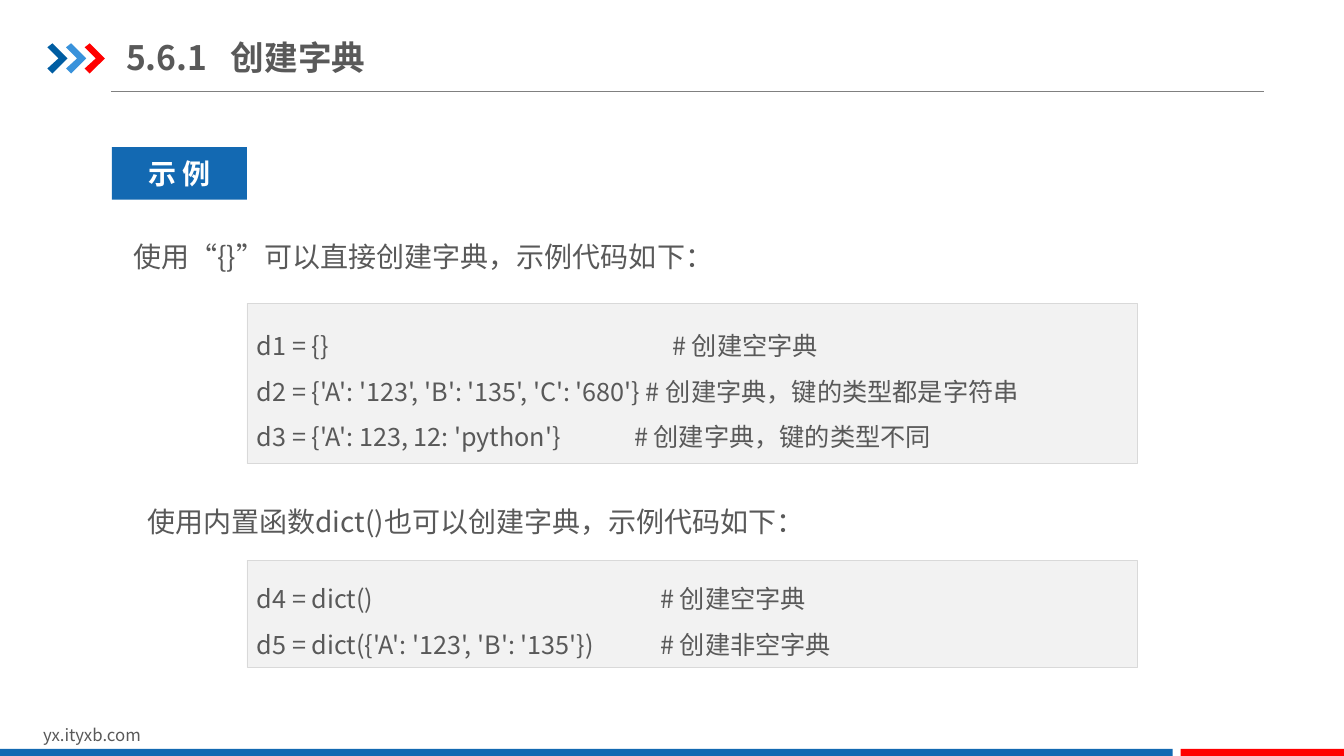
from dataclasses import dataclass

from pptx import Presentation
from pptx import util as u
from pptx.dml.color import RGBColor
from pptx.enum import shapes, text
from pptx.oxml.ns import qn
from lxml import etree

TITLE = "5.6.1\t创建字典"
TAG = "示 例"
SITE = "yx.ityxb.com"
# Each example: intro, intro left and top, panel top and height, (code line, tab stop)
EXAMPLES = [
    ("使用“{}”可以直接创建字典，示例代码如下：", (1.19, 2.14), (3.01, 1.59), [
        ("d1 = {}\t# 创建空字典", 4.12),
        ("d2 = {'A': '123', 'B': '135', 'C': '680'} # 创建字典，键的类型都是字符串", None),
        ("d3 = {'A': 123, 12: 'python'}\t# 创建字典，键的类型不同", 3.74),
    ]),
    ("使用内置函数dict()也可以创建字典，示例代码如下：", (1.33, 4.77), (5.56, 1.06), [
        ("d4 = dict()\t# 创建空字典", 4.0),
        ("d5 = dict({'A': '123', 'B': '135'})\t# 创建非空字典", 4.0),
    ]),
]


@dataclass(frozen=True)
class Theme:
    font: str = "Noto Sans CJK SC"
    ink: str = "595959"
    blue: str = "1369B2"
    red: str = "FF0000"
    white: str = "FFFFFF"
    panel: str = "F2F2F2"
    panel_edge: str = "D9D9D9"
    rule: str = "808080"
    chevrons: tuple = ("005DA2", "3992DB", "FF0000")
    title: int = 24
    body: int = 20
    code: int = 18
    footer: int = 12


THEME = Theme()
WIDTH, HEIGHT = 13.33, 7.5
PANEL_LEFT, PANEL_WIDTH = 2.45, 8.83
CHEVRON = [(0, 0.04), (0.05, 0), (0.2, 0.15), (0.05, 0.3), (0, 0.25), (0.11, 0.15)]
CHEVRON_LEFT, CHEVRON_TOP, CHEVRON_STEP = 0.47, 0.43, 0.185
BAR_HEIGHT, BAR_GAP, BLUE_WIDTH = 0.07, 0.08, 11.63


def inches(*lengths):
    return [u.Inches(length) for length in lengths]


def paint(shape, fill, line=None):
    shape.shadow.inherit = False
    shape.fill.solid()
    shape.fill.fore_color.rgb = RGBColor.from_string(fill)
    if line:
        shape.line.color.rgb = RGBColor.from_string(line)
        shape.line.width = u.Pt(0.25)
    else:
        shape.line.fill.background()
    return shape


def add_rect(slide, box, fill, line=None):
    rect = slide.shapes.add_shape(shapes.MSO_SHAPE.RECTANGLE, *inches(*box))
    return paint(rect, fill, line)


def write(shape, lines, size, color=THEME.ink, bold=False, spacing=None,
          align=text.PP_ALIGN.LEFT, anchor=text.MSO_ANCHOR.TOP, inset=(0.1, 0.05)):
    """Fill a shape with (line, tab stop) pairs in one format."""
    frame = shape.text_frame
    frame.word_wrap = True
    frame.vertical_anchor = anchor
    frame.margin_left = frame.margin_right = u.Inches(inset[0])
    frame.margin_top = frame.margin_bottom = u.Inches(inset[1])
    for index, (line, stop) in enumerate(lines):
        paragraph = frame.add_paragraph() if index else frame.paragraphs[0]
        paragraph.alignment = align
        if spacing:
            paragraph.line_spacing = spacing
        if stop:
            tabs = etree.SubElement(paragraph._p.get_or_add_pPr(), qn("a:tabLst"))
            etree.SubElement(tabs, qn("a:tab"), pos=str(u.Inches(stop)), algn="l")
        run = paragraph.add_run()
        run.text = line
        run.font.size = u.Pt(size)
        run.font.bold = bold
        run.font.color.rgb = RGBColor.from_string(color)
        run.font.name = THEME.font
        etree.SubElement(run._r.get_or_add_rPr(), qn("a:ea"), typeface=THEME.font)


def add_text(slide, box, lines, size, **style):
    write(slide.shapes.add_textbox(*inches(*box)), lines, size, **style)


def add_header(slide):
    rule = slide.shapes.add_connector(
        shapes.MSO_CONNECTOR.STRAIGHT, *inches(1.1, 0.91, 12.54, 0.91))
    rule.line.color.rgb = RGBColor.from_string(THEME.rule)
    rule.line.width = u.Pt(0.75)
    etree.SubElement(rule._element.spPr, qn("a:effectLst"))
    for index, color in enumerate(THEME.chevrons):
        left = CHEVRON_LEFT + index * CHEVRON_STEP
        points = [inches(left + x, CHEVRON_TOP + y) for x, y in CHEVRON]
        outline = slide.shapes.build_freeform(*points[0])
        outline.add_line_segments(points[1:], close=True)
        paint(outline.convert_to_shape(), color)
    add_text(slide, (1.25, 0.29, 5.02, 0.55), [(TITLE, 1.04)], THEME.title,
             bold=True, anchor=text.MSO_ANCHOR.MIDDLE, inset=(0, 0.07))


def add_footer(slide):
    add_text(slide, (0.33, 7.14, 3.18, 0.3), [(SITE, None)], THEME.footer)
    top, red_left = HEIGHT - BAR_HEIGHT, BLUE_WIDTH + BAR_GAP
    add_rect(slide, (0, top, BLUE_WIDTH, BAR_HEIGHT), THEME.blue)
    add_rect(slide, (red_left, top, WIDTH - red_left, BAR_HEIGHT), THEME.red)


def add_example(slide, intro, corner, panel, code):
    add_text(slide, (*corner, 11.35, 0.78), [(intro, None)], THEME.body, spacing=1.5,
             align=text.PP_ALIGN.JUSTIFY, inset=(0.13, 0.07))
    top, height = panel
    box = add_rect(slide, (PANEL_LEFT, top, PANEL_WIDTH, height),
                   THEME.panel, THEME.panel_edge)
    write(box, code, THEME.code, spacing=1.5, anchor=text.MSO_ANCHOR.MIDDLE)


def main():
    deck = Presentation()
    deck.slide_width, deck.slide_height = inches(WIDTH, HEIGHT)
    slide = deck.slides.add_slide(deck.slide_layouts[6])
    add_header(slide)
    add_footer(slide)
    tag = add_rect(slide, (1.11, 1.46, 1.34, 0.52), THEME.blue)
    write(tag, [(TAG, None)], THEME.body, color=THEME.white, bold=True,
          align=text.PP_ALIGN.CENTER, anchor=text.MSO_ANCHOR.MIDDLE)
    for example in EXAMPLES:
        add_example(slide, *example)
    deck.save("out.pptx")


if __name__ == "__main__":
    main()
